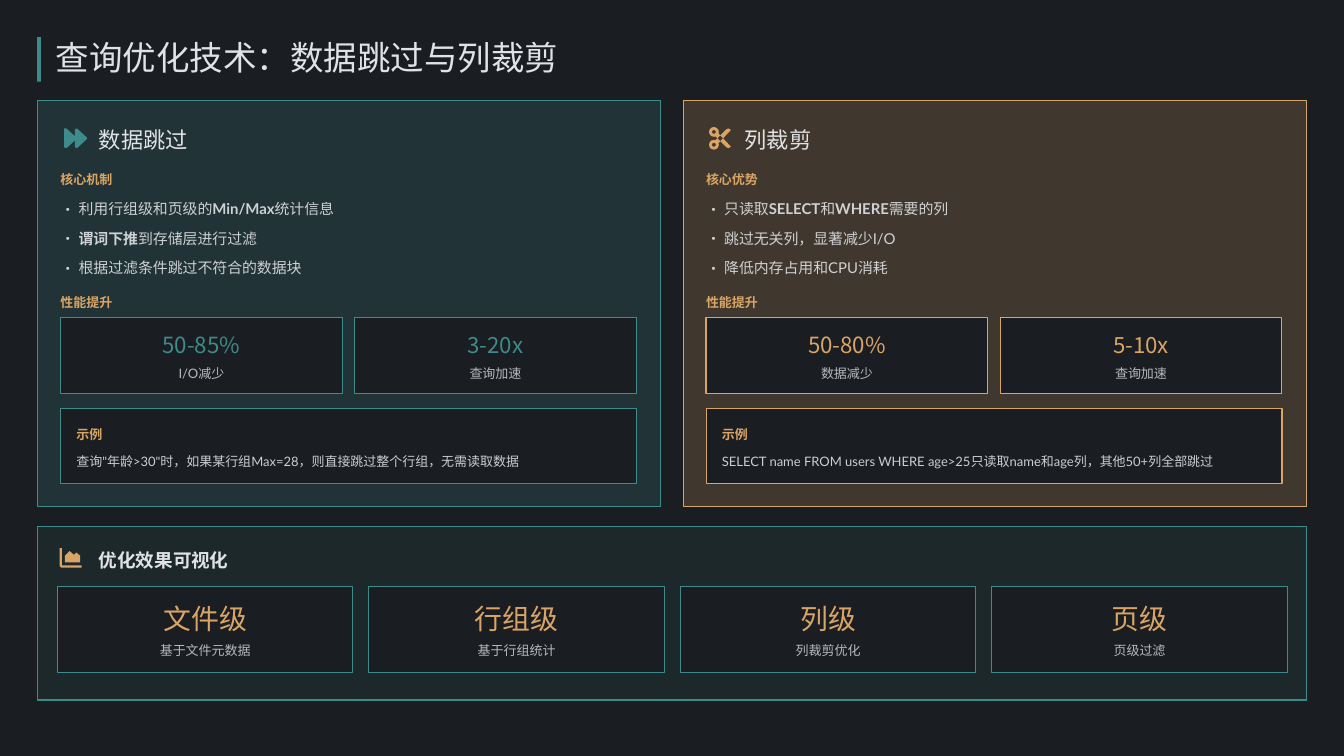
import pptx
import pptx.util
import pptx.dml.color
import pptx.enum.shapes
import pptx.enum.text
import pptx.oxml
import pptx.oxml.ns
from pptx.util import Inches

COLORS = {"back": "1A1D21", "teal": "3D8B8B", "gold": "D9A566", "text": "E0E2E6"}
SANS, CJK = "Lato", "Noto Sans CJK SC"
TITLE = "查询优化技术：数据跳过与列裁剪"

# Double asterisks enclose bold words.
CARDS = [
    {
        "name": "数据跳过", "hue": "teal", "head": "核心机制",
        "points": ["利用行组级和页级的**Min/Max**统计信息",
                   "**谓词下推**到存储层进行过滤",
                   "根据过滤条件跳过不符合的数据块"],
        "stats": [("50-85%", "I/O减少"), ("3-20x", "查询加速")],
        "case": "查询\"年龄>30\"时，如果某行组Max=28，则直接跳过整个行组，无需读取数据",
    },
    {
        "name": "列裁剪", "hue": "gold", "head": "核心优势",
        "points": ["只读取**SELECT**和**WHERE**需要的列",
                   "跳过无关列，显著减少I/O",
                   "降低内存占用和CPU消耗"],
        "stats": [("50-80%", "数据减少"), ("5-10x", "查询加速")],
        "case": "SELECT name FROM users WHERE age>25只读取name和age列，其他50+列全部跳过",
    },
]
GAINS = "性能提升"
CASE = "示例"
LEVELS_HEAD = "优化效果可视化"
LEVELS = [("文件级", "基于文件元数据"), ("行组级", "基于行组统计"),
          ("列级", "列裁剪优化"), ("页级", "页级过滤")]

# Icon outlines, in inches on the slide.
FORWARD = [[(0.85, 1.7), (0.88, 1.7), (0.99, 1.8), (0.99, 1.71), (1.02, 1.7),
            (1.15, 1.82), (1.15, 1.84), (1.02, 1.96), (0.99, 1.95),
            (0.99, 1.86), (0.88, 1.96), (0.85, 1.95)]]
BLADES = [[(9.46, 1.86), (9.61, 1.71), (9.64, 1.7), (9.67, 1.72), (9.5, 1.9)],
          [(9.46, 1.8), (9.5, 1.76), (9.67, 1.94), (9.64, 1.96), (9.61, 1.95)]]
CHART = [[(0.79, 7.25), (0.82, 7.25), (0.82, 7.48), (1.08, 7.48), (1.08, 7.51),
          (0.81, 7.51), (0.79, 7.49)],
         [(0.86, 7.35), (0.92, 7.29), (0.98, 7.34), (1.01, 7.31), (1.06, 7.35),
          (1.06, 7.44), (0.86, 7.44)]]

deck = pptx.Presentation()
deck.slide_width, deck.slide_height = Inches(17.78), Inches(10)
slide = deck.slides.add_slide(deck.slide_layouts[5])


def rgb(name):
    return pptx.dml.color.RGBColor.from_string(COLORS[name])


def fade(node, alpha):
    """Make the first colour under an XML node partly opaque, in percent."""
    if alpha < 100:
        tone = next(node.iter(pptx.oxml.ns.qn("a:srgbClr")))
        pptx.oxml.ns.qn("a:alpha")
        item = pptx.oxml.parse_xml(
            f'<a:alpha {pptx.oxml.ns.nsdecls("a")} val="{alpha * 1000}"/>')
        tone.append(item)


def paint(shape, fill, line=None, alpha=100):
    shape.shadow.inherit = False
    shape.fill.solid()
    shape.fill.fore_color.rgb = rgb(fill)
    fade(shape._element.spPr, alpha)
    if line:
        shape.line.color.rgb = rgb(line)
        shape.line.width = pptx.util.Pt(1)
    else:
        shape.line.fill.background()


def box(x, y, w, h, fill="back", line=None, alpha=100):
    kind = pptx.enum.shapes.MSO_SHAPE.RECTANGLE
    shape = slide.shapes.add_shape(kind, *map(Inches, (x, y, w, h)))
    paint(shape, fill, line, alpha)


def icon(paths, fill):
    start, *rest = [[(Inches(x), Inches(y)) for x, y in path] for path in paths]
    pen = slide.shapes.build_freeform(*start[0])
    pen.add_line_segments(start[1:])
    for path in rest:
        pen.move_to(*path[0])
        pen.add_line_segments(path[1:])
    paint(pen.convert_to_shape(), fill)


def ring(x, y, size, fill):
    kind = pptx.enum.shapes.MSO_SHAPE.DONUT
    shape = slide.shapes.add_shape(kind, *map(Inches, (x, y, size, size)))
    shape.adjustments[0] = 0.3
    paint(shape, fill)


def style(run, size, color, face, bold, alpha):
    font = run.font
    font.size, font.bold, font.name = pptx.util.Pt(size), bold, face
    font.color.rgb = rgb(color)
    fade(run._r.rPr, alpha)
    run._r.rPr.find(pptx.oxml.ns.qn("a:latin")).addnext(pptx.oxml.parse_xml(
        f'<a:ea {pptx.oxml.ns.nsdecls("a")} typeface="{CJK}"/>'))


def setup(shape, x, y, w, h):
    shape.left, shape.top, shape.width, shape.height = map(Inches, (x, y, w, h))
    frame = shape.text_frame
    frame.word_wrap = True
    frame.auto_size = pptx.enum.text.MSO_AUTO_SIZE.NONE
    frame.vertical_anchor = pptx.enum.text.MSO_ANCHOR.MIDDLE
    frame.margin_left = frame.margin_right = 0
    frame.margin_top = frame.margin_bottom = 0
    return frame


def write(x, y, w, h, text, size, color="text", face=SANS, bold=False,
          alpha=100, space=1.2, mid=False, shape=None):
    frame = setup(shape or slide.shapes.add_textbox(0, 0, 0, 0), x, y, w, h)
    frame.text = text
    para = frame.paragraphs[0]
    align = pptx.enum.text.PP_ALIGN
    para.alignment = align.CENTER if mid else align.LEFT
    para.line_spacing = space
    style(para.runs[0], size, color, face, bold, alpha)


def bullets(x, y, w, h, points):
    frame = setup(slide.shapes.add_textbox(0, 0, 0, 0), x, y, w, h)
    for i, point in enumerate(points):
        para = frame.add_paragraph() if i else frame.paragraphs[0]
        props = para._p.get_or_add_pPr()
        props.set("marL", str(Inches(0.24)))
        props.set("indent", str(-Inches(0.24)))
        for tag in (f'buFont {{}} typeface="{CJK}"', 'buChar {} char="•"'):
            props.append(pptx.oxml.parse_xml(
                f'<a:{tag.format(pptx.oxml.ns.nsdecls("a"))}/>'))
        para.line_spacing = pptx.util.Pt(28)
        for j, part in enumerate(point.split("**")):
            if part:
                run = para.add_run()
                run.text = part
                style(run, 14.2, "text", SANS, j % 2 == 1, 90)


def small(x, y, w, text, **look):
    write(x, y, w, 0.25, text, 12.4, **look)


def label(x, y, text):
    small(x, y, 7.3, text, color="gold", bold=True)


def card(x, data):
    hue, left, top = data["hue"], x + 0.3, 4.2
    wide, gap = 3.73, 0.16
    box(x, 1.33, 8.24, 5.37, hue, hue, 20)
    write(x + 0.81, 1.63, 2, 0.39, data["name"], 21.2, face=CJK, space=1.1)
    label(left, 2.22, data["head"])
    bullets(left, 2.49, 7.74, 1.17, data["points"])
    label(left, 3.85, GAINS)
    for i, (value, note) in enumerate(data["stats"]):
        spot = left + i * (wide + gap)
        box(spot, top, wide, 1, line=hue)
        write(spot, top + 0.15, wide, 0.39, value, 21.2, hue, CJK,
              space=1.1, mid=True)
        small(spot, top + 0.59, wide, note, alpha=80, mid=True)
    box(left, 5.4, 2 * wide + gap, 1, line=hue)
    label(left + 0.21, 5.6, CASE)
    small(left + 0.21, 5.95, 7.31, data["case"], alpha=90)


def levels(x, y):
    wide, pitch = 3.91, 4.12
    box(x, y, 16.78, 2.3, "teal", "teal", 10)
    write(x + 0.81, y + 0.25, 3, 0.34, LEVELS_HEAD, 17.7, bold=True)
    for i, (name, note) in enumerate(LEVELS):
        spot = x + 0.26 + i * pitch
        box(spot, y + 0.8, wide, 1.14, line="teal")
        write(spot, y + 1, wide, 0.44, name, 26.5, "gold", CJK,
              space=1.0, mid=True)
        small(spot, y + 1.49, wide, note, alpha=80, mid=True)


slide.background.fill.solid()
slide.background.fill.fore_color.rgb = rgb("back")
box(0.49, 0.49, 0.05, 0.59, "teal")
write(0.74, 0.54, 7.5, 0.49, TITLE, 31.9, face=CJK, space=0.9,
      shape=slide.shapes.title)
for i, data in enumerate(CARDS):
    card(0.5 + i * 8.54, data)
levels(0.5, 6.96)
icon(FORWARD, "teal")
icon(BLADES, "gold")
for y in (1.68, 1.85):
    ring(9.38, y, 0.13, "gold")
icon(CHART, "gold")
deck.save("out.pptx")
